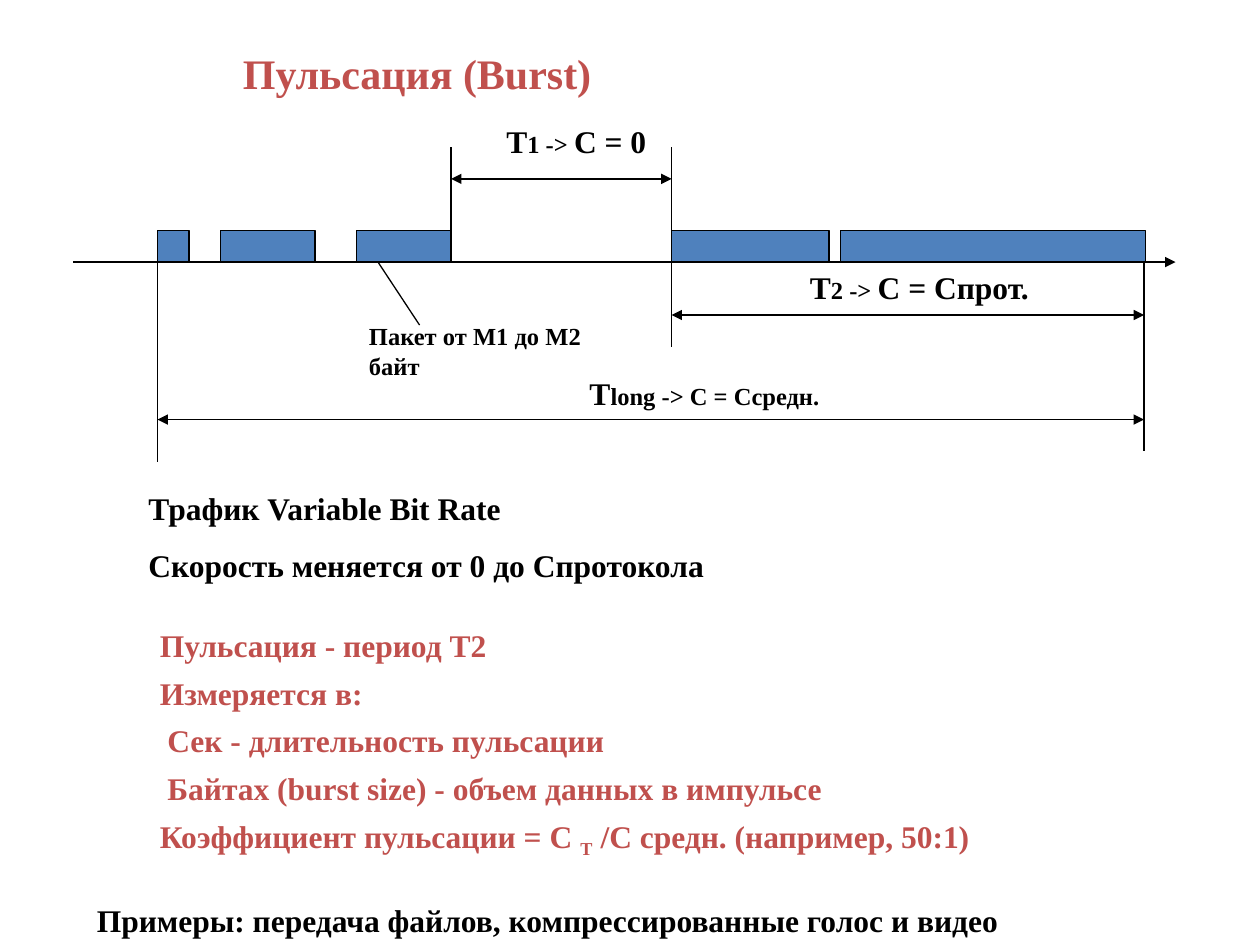
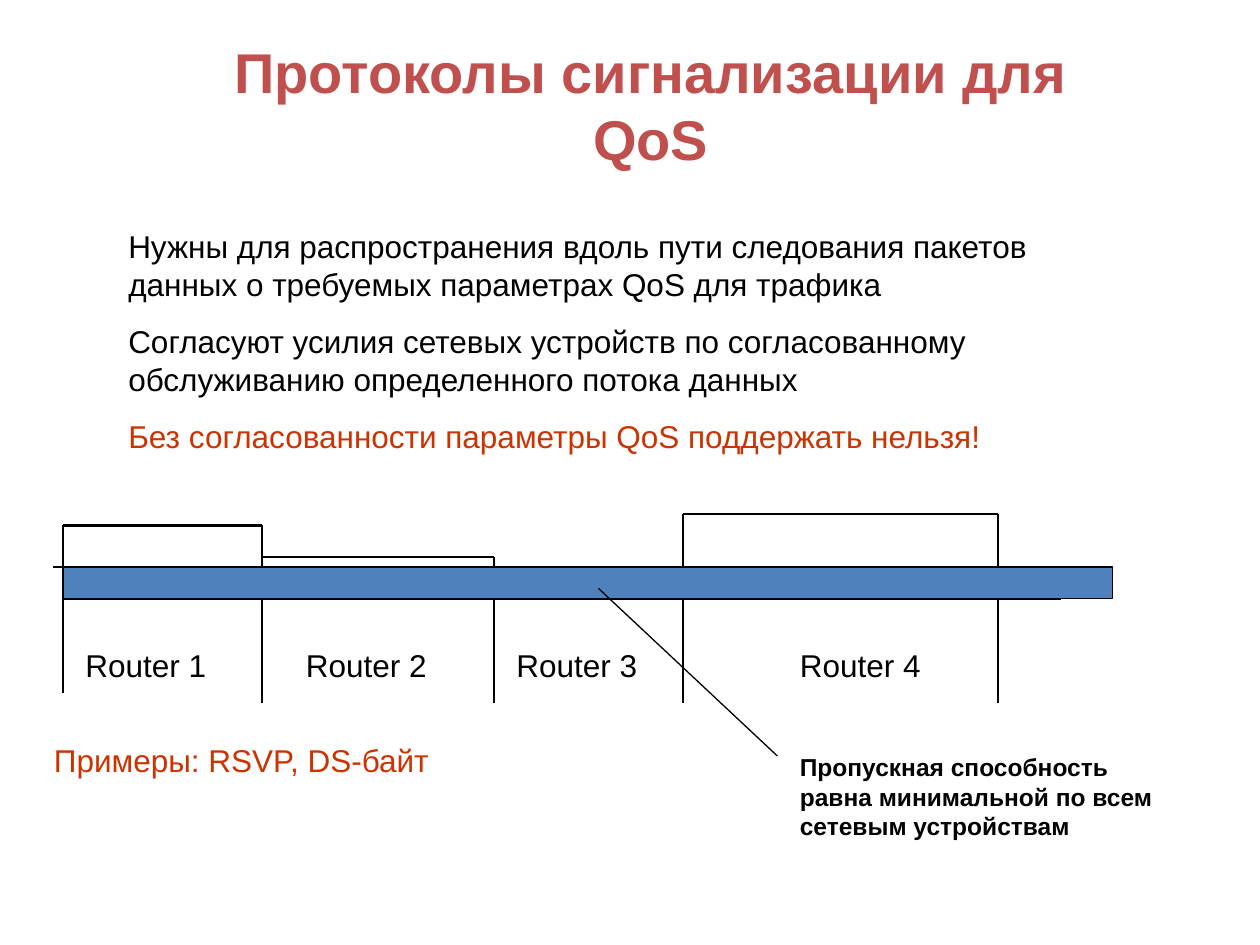
"""Build two slides on traffic bursts and QoS signalling protocols."""
from dataclasses import dataclass

from lxml import etree
from pptx import Presentation
from pptx.dml.color import RGBColor
from pptx.enum.shapes import MSO_CONNECTOR, MSO_SHAPE
from pptx.enum.text import MSO_AUTO_SIZE, PP_ALIGN
from pptx.oxml.ns import qn
from pptx.util import Inches, Pt

STRAIGHT = MSO_CONNECTOR.STRAIGHT
RECTANGLE = MSO_SHAPE.RECTANGLE
GROW = MSO_AUTO_SIZE.SHAPE_TO_FIT_TEXT
LEFT, CENTER = PP_ALIGN.LEFT, PP_ALIGN.CENTER


@dataclass(frozen=True)
class Theme:
    ink: str = "000000"
    accent: str = "C0504D"
    alert: str = "CC3300"
    bar: str = "4F81BD"
    serif: str = "Times New Roman"
    sans: str = "Arial"
    headline: int = 32
    title: int = 24
    body: int = 18
    note: int = 14
    thin: float = 0.75
    thick: float = 1.5


THEME = Theme()


def add_run(p, text, font, size=THEME.body, color=THEME.ink, bold=False, baseline=0):
    r = p.add_run()
    r.text = text
    r.font.name = font
    r.font.size = Pt(size)
    r.font.bold = bold
    r.font.color.rgb = RGBColor.from_string(color)
    if baseline:
        r.font._element.set("baseline", str(baseline * 1000))


class Deck:
    def __init__(self, theme):
        self.theme = theme
        self.prs = Presentation()
        self.prs.slide_width, self.prs.slide_height = Inches(10), Inches(7.5)
        self.s = None
        self.font = theme.sans

    def slide(self, font):
        self.s = self.prs.slides.add_slide(self.prs.slide_layouts[6])
        self.font = font

    def text(self, box, *paragraphs, align=LEFT, gap=0, indents=(), **style):
        tb = self.s.shapes.add_textbox(*map(Inches, box))
        tf = tb.text_frame
        tf.word_wrap = True
        tf.auto_size = GROW
        for i, runs in enumerate(paragraphs):
            p = tf.add_paragraph() if i else tf.paragraphs[0]
            p.alignment = align
            p.space_before = Pt(gap if i else 0)
            if i in indents:
                p._p.get_or_add_pPr().set("marL", str(Inches(0.06)))
            for text, extra in [(runs, {})] if isinstance(runs, str) else runs:
                add_run(p, text, self.font, **{**style, **extra})

    def line(self, x1, y1, x2, y2, width=THEME.thin, arrows=()):
        c = self.s.shapes.add_connector(STRAIGHT, *map(Inches, (x1, y1, x2, y2)))
        c.line.color.rgb = RGBColor.from_string(self.theme.ink)
        c.line.width = Pt(width)
        ln = c.line._get_or_add_ln()
        for end in arrows:
            etree.SubElement(ln, qn(f"a:{end}"), type="triangle")
        etree.SubElement(c._element.spPr, qn("a:effectLst"))

    def span(self, x1, x2, y):
        self.line(x1, y, x2, y, arrows=("headEnd", "tailEnd"))

    def bar(self, x, y, width, height=0.25):
        sp = self.s.shapes.add_shape(RECTANGLE, *map(Inches, (x, y, width, height)))
        sp.shadow.inherit = False
        sp.fill.solid()
        sp.fill.fore_color.rgb = RGBColor.from_string(self.theme.bar)
        sp.line.color.rgb = RGBColor.from_string(self.theme.ink)
        sp.line.width = Pt(self.theme.thin)


def burst_slide(d):
    t = d.theme
    small, sub = {"size": t.note}, {"baseline": -25}
    start, pause, burst, end = 1.25, 3.58, 5.33, 9.08
    axis = 2.08

    d.slide(t.serif)
    d.text((1.83, 0.33, 6.5, 0.5), "Пульсация (Burst)",
           size=t.title, color=t.accent, bold=True)
    d.line(0.58, axis, 9.33, axis, arrows=("tailEnd",))
    for x, width in ((start, 0.25), (1.75, 0.75), (2.83, 0.75), (burst, 1.25), (6.67, 2.42)):
        d.bar(x, 1.83, width)

    for x, top, bottom in ((start, 2, 3.67), (pause, 1.17, 2), (burst, 1.17, 1.83),
                           (burst, axis, 2.75), (end, axis, 3.58)):
        d.line(x, top, x, bottom)
    for x1, x2, y in ((pause, burst, 1.42), (burst, end, 2.5), (start, end, 3.33)):
        d.span(x1, x2, y)
    d.line(3.33, 2.58, 3, axis)

    for box, runs in (
        ((3.92, 0.92, 2, 0.4), [("T", {}), ("1 -> ", small), ("C = 0", {})]),
        ((6.33, 2.08, 2, 0.4), [("T", {}), ("2 -> ", small), ("C = Cпрот.", {})]),
        ((4.58, 2.92, 2.58, 0.4), [("T", {}), ("long -> C = Cсредн.", small)]),
        ((2.83, 2.5, 2.17, 0.57), [("Пакет от M1 до M2 байт", small)]),
    ):
        d.text(box, runs, bold=True)

    d.text((1.08, 3.83, 7.42, 1.32),
           "Трафик Variable Bit Rate",
           "Скорость меняется от 0 до Cпротокола",
           gap=11.2, bold=True)
    d.text((1.17, 4.92, 7.25, 1.96),
           "Пульсация - период T2",
           "Измеряется в:",
           "Сек - длительность пульсации",
           "Байтах (burst size) - объем данных в импульсе",
           [("Коэффициент пульсации = С ", {}), ("T", sub),
            (" /С средн. (например, 50:1)", {})],
           gap=5.6, indents=(2, 3), color=t.accent, bold=True)
    d.text((0.67, 7.1, 7.42, 0.4),
           "Примеры: передача файлов, компрессированные голос и видео", bold=True)


def signalling_slide(d):
    t = d.theme
    top, bottom = 4.5, 4.75
    edges = (0.5, 2.08, 3.92, 5.42, 7.92)
    levels = (4.17, 4.42, top, 4.08)

    d.slide(t.sans)
    d.text((1.5, 0.25, 7.33, 1.17), "Протоколы сигнализации для QoS",
           align=CENTER, size=t.headline, color=t.accent, bold=True)
    d.text((0.92, 1.75, 8, 1.92),
           "Нужны для распространения вдоль пути следования пакетов данных "
           "о требуемых параметрах QoS для трафика",
           "Согласуют усилия сетевых устройств по согласованному обслуживанию "
           "определенного потока данных",
           [("Без согласованности параметры QoS поддержать нельзя!", {"color": t.alert})],
           gap=11.2)

    profile = [(x, y) for x1, x2, y in zip(edges, edges[1:], levels) for x in (x1, x2)]
    for a, b in zip(profile, profile[1:]):
        d.line(*a, *b, width=t.thick)
    d.line(edges[0], bottom, 8.42, bottom, width=t.thick)
    d.line(edges[0], levels[0], edges[0], 5.5)
    for x, y in zip(edges[1:], (*levels[1:], levels[-1])):
        d.line(x, y, x, 5.58)
    for x1, x2 in ((0.42, edges[2]), (edges[3], 8.58)):
        d.line(x1, top, x2, top)
    d.bar(edges[0], top, 8.33)

    for i, x in enumerate((0.58, 2.33, 4, 6.25), 1):
        d.text((x, 5.08, 1.25, 0.4), f"Router {i}")
    d.line(4.75, 4.67, 6.17, 6)
    d.text((6.25, 5.92, 3.17, 0.8),
           "Пропускная способность равна минимальной по всем сетевым устройствам",
           size=t.note, bold=True)
    d.text((0.33, 5.83, 5.58, 0.4), "Примеры: RSVP, DS-байт", color=t.alert)


def main():
    d = Deck(THEME)
    burst_slide(d)
    signalling_slide(d)
    d.prs.save("out.pptx")


if __name__ == "__main__":
    main()
